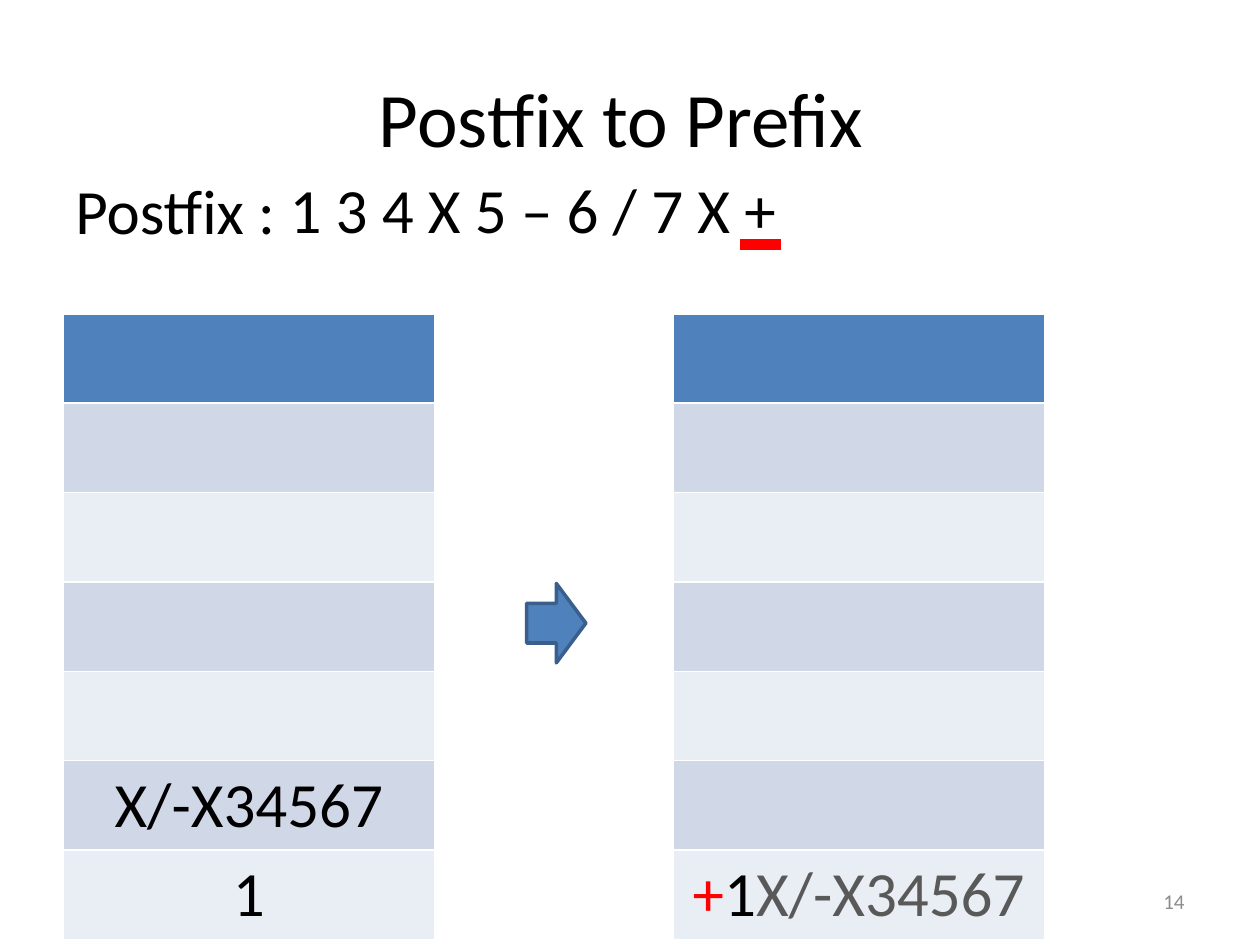
from lxml import etree
from pptx import Presentation
from pptx.dml.color import RGBColor
from pptx.enum.shapes import MSO_CONNECTOR, MSO_SHAPE
from pptx.enum.text import MSO_ANCHOR, PP_ALIGN
from pptx.oxml.ns import qn
from pptx.util import Pt

LEFT, MID, RIGHT = PP_ALIGN.LEFT, PP_ALIGN.CENTER, PP_ALIGN.RIGHT
TOP, CENTER = MSO_ANCHOR.TOP, MSO_ANCHOR.MIDDLE
STRAIGHT, ARROW = MSO_CONNECTOR.STRAIGHT, MSO_SHAPE.RIGHT_ARROW

FONT = "Calibri"
HEX = {
    "black": "000000", "red": "FF0000", "dark": "595959", "gray": "8C8C8C",
    "blue": "4F81BD", "edge": "3A5F8C", "odd": "D0D8E8", "even": "E9EDF4",
}

# text, box (left, top, width, height), format
TEXTS = [
    ("1 3 4 X 5 – 6 / 7 X +", (158.4, 93.6, 452.9, 51.1), {}),
    ("Postfix :", (36, 94.3, 264.2, 51.1), {}),
    ("Postfix to Prefix ", (36, 21.6, 648, 90),
     {"size": 44, "align": MID, "anchor": CENTER}),
    ("14", (516.2, 500.4, 167.8, 28.8),
     {"size": 12, "color": "gray", "align": RIGHT, "anchor": CENTER}),
]

# left edge of each stack, and its filled rows from the top down
ROWS = 7
STACKS = [
    (36, {5: [("X/-X34567", "black")], 6: [("1", "black")]}),
    (384.5, {6: [("+", "red"), ("1", "black"), ("X/-X34567", "dark")]}),
]
STACK_TOP, STACK_WIDTH, ROW_HEIGHT = 179.3, 212.4, 51.1
ARROW_BOX = (301, 333.4, 33.8, 45.4)
MARK = (422.6, 139.7, 446.4, 139.7)


def color(name):
    return RGBColor.from_string(HEX[name])


def write(para, text, size=36, tone="black", align=LEFT):
    para.alignment = align
    run = para.add_run()
    run.text = text
    run.font.name = FONT
    run.font.size = Pt(size)
    run.font.bold = False
    run.font.color.rgb = color(tone)


def add_text(slide, text, box, size=36, color="black", align=LEFT, anchor=TOP):
    frame = slide.shapes.add_textbox(*map(Pt, box)).text_frame
    frame.word_wrap = True
    frame.vertical_anchor = anchor
    write(frame.paragraphs[0], text, size, color, align)


def add_stack(slide, left, filled):
    table = slide.shapes.add_table(
        ROWS, 1, Pt(left), Pt(STACK_TOP), Pt(STACK_WIDTH), Pt(ROW_HEIGHT * ROWS)
    ).table
    for i, row in enumerate(table.rows):
        row.height = Pt(ROW_HEIGHT)
        cell = row.cells[0]
        cell.fill.solid()
        tone = "blue" if i == 0 else "odd" if i % 2 else "even"
        cell.fill.fore_color.rgb = color(tone)
        for text, tone in filled.get(i, []):
            write(cell.text_frame.paragraphs[0], text, tone=tone, align=MID)


def add_arrow(slide):
    arrow = slide.shapes.add_shape(ARROW, *map(Pt, ARROW_BOX))
    arrow.shadow.inherit = False
    arrow.fill.solid()
    arrow.fill.fore_color.rgb = color("blue")
    arrow.line.color.rgb = color("edge")
    arrow.line.width = Pt(2)


def add_mark(slide):
    """Underline the symbol being read."""
    mark = slide.shapes.add_connector(STRAIGHT, *map(Pt, MARK))
    mark.line.color.rgb = color("red")
    mark.line.width = Pt(6)
    etree.SubElement(mark._element.spPr, qn("a:effectLst"))


def main():
    deck = Presentation()
    deck.slide_width, deck.slide_height = Pt(720), Pt(540)
    slide = deck.slides.add_slide(deck.slide_layouts[6])
    for text, box, style in TEXTS:
        add_text(slide, text, box, **style)
    add_mark(slide)
    for left, filled in STACKS:
        add_stack(slide, left, filled)
    add_arrow(slide)
    deck.save("out.pptx")


if __name__ == "__main__":
    main()
